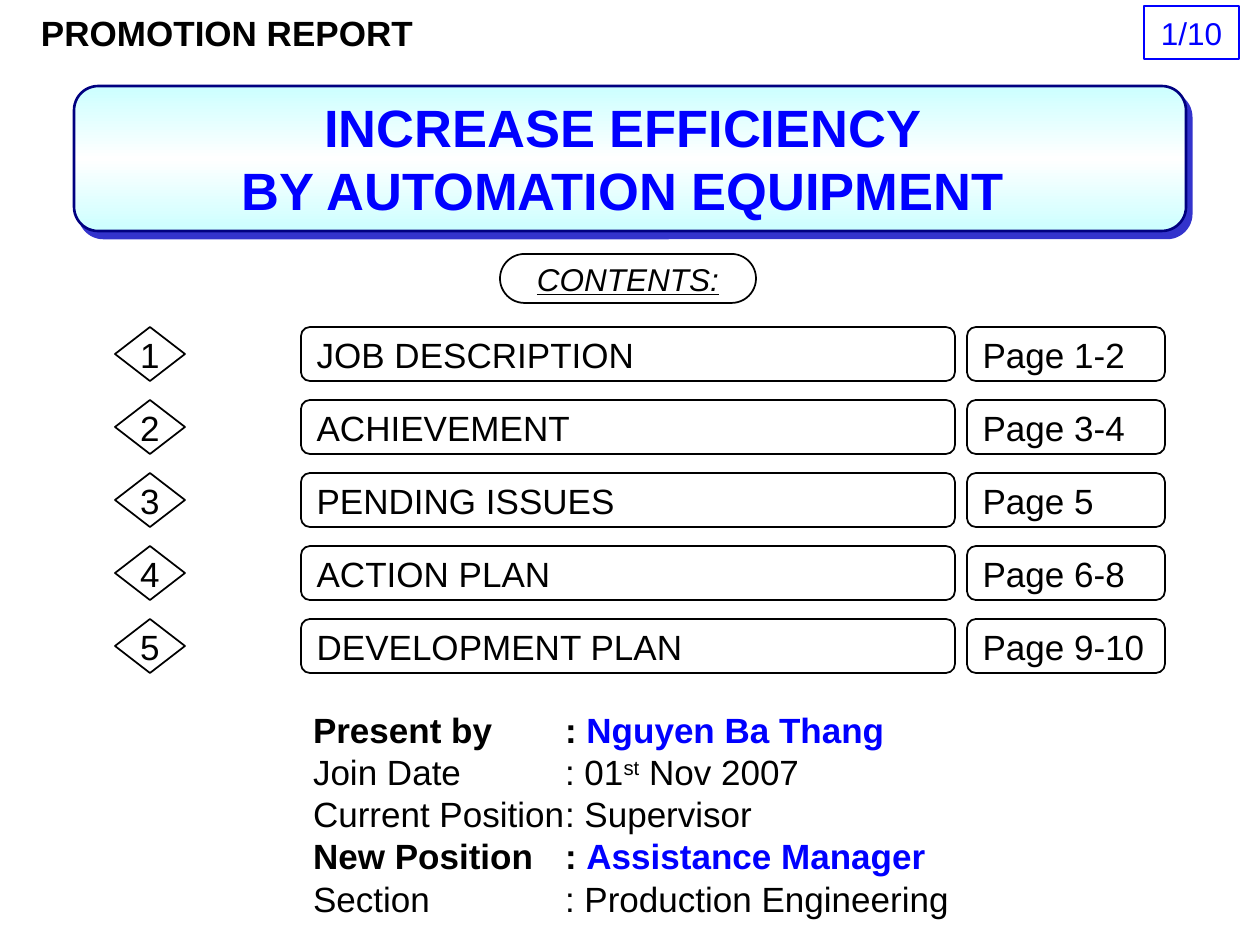
from copy import deepcopy
from lxml import etree
from pptx import Presentation
from pptx.dml.color import RGBColor
from pptx.enum import shapes, text
from pptx.oxml import ns
from pptx import util as u

PX = 914400 / 126
BLACK = RGBColor(0, 0, 0)
WHITE = RGBColor(255, 255, 255)
BLUE = RGBColor(0, 0, 255)
NAVY = RGBColor(0, 0, 128)
CYAN = RGBColor(204, 255, 255)
SHADOW = RGBColor(51, 51, 204)
KIND = shapes.MSO_SHAPE
LEFT, CENTER = text.PP_ALIGN.LEFT, text.PP_ALIGN.CENTER

TITLE = ["INCREASE EFFICIENCY", "BY AUTOMATION EQUIPMENT"]
CONTENTS = [
    ("JOB DESCRIPTION", "Page 1-2"),
    ("ACHIEVEMENT", "Page 3-4"),
    ("PENDING ISSUES", "Page 5"),
    ("ACTION PLAN", "Page 6-8"),
    ("DEVELOPMENT PLAN", "Page 9-10"),
]
PRESENTER = [
    [("Present by\t: ", {"bold": True}), ("Nguyen Ba Thang", {"bold": True, "color": BLUE})],
    [("Join Date\t: 01", {}), ("st", {"raised": True}), (" Nov 2007", {})],
    [("Current Position\t: Supervisor", {})],
    [("New Position\t: ", {"bold": True}), ("Assistance Manager", {"bold": True, "color": BLUE})],
    [("Section\t: Production Engineering", {})],
]
PRESENTER_TAB = 252
ROW_TOP, ROW_PITCH, ROW_HEIGHT = 327, 73, 54
COLUMNS = {"number": (115, 70), "topic": (301, 654), "pages": (967, 198)}


def px(length):
    return u.Emu(round(length * PX))


def add_box(page, kind, place, line=None, width=1, fill=None, corner=None):
    box = page.shapes.add_shape(kind, *map(px, place))
    box.shadow.inherit = False
    if corner is not None:
        box.adjustments[0] = corner
    if fill is None:
        box.fill.background()
    else:
        box.fill.solid()
        box.fill.fore_color.rgb = fill
    if line is None:
        box.line.fill.background()
    else:
        box.line.color.rgb = line
        box.line.width = u.Pt(width)
    return box


def add_span(para, words, size=20, color=BLACK, bold=False, italic=False,
             underline=False, raised=False):
    span = para.add_run()
    span.text = words
    font = span.font
    font.name, font.size, font.color.rgb = "Arial", u.Pt(size), color
    font.bold, font.italic, font.underline = bold, italic, underline
    if raised:
        font._element.set("baseline", "30000")


def add_tab_stop(para, position):
    stops = etree.SubElement(para._p.get_or_add_pPr(), ns.qn("a:tabLst"))
    etree.SubElement(stops, ns.qn("a:tab"), pos=str(px(position)), algn="l")


def write(box, lines, align=LEFT, wrap=False, margins=(13, 6, 13, 6), tab=None, **style):
    frame = box.text_frame
    frame.word_wrap = wrap
    frame.vertical_anchor = text.MSO_ANCHOR.MIDDLE
    (frame.margin_left, frame.margin_top,
     frame.margin_right, frame.margin_bottom) = map(px, margins)
    for index, line in enumerate(lines):
        para = frame.paragraphs[0] if index == 0 else frame.add_paragraph()
        para.alignment = align
        if tab is not None:
            add_tab_stop(para, tab)
        for words, extra in [(line, {})] if isinstance(line, str) else line:
            add_span(para, words, **{**style, **extra})


def add_banner_effects(banner):
    banner.fill.gradient()
    banner.fill.gradient_angle = 90
    stops = banner._element.spPr.find(".//" + ns.qn("a:gsLst"))
    stops.insert(1, deepcopy(stops[0]))
    for stop, color, position in zip(banner.fill.gradient_stops, (CYAN, WHITE, CYAN), (0, 0.5, 1)):
        stop.color.rgb = color
        stop.position = position
    effects = banner._element.spPr.find(ns.qn("a:effectLst"))
    shadow = etree.SubElement(effects, ns.qn("a:outerShdw"), blurRad="0",
                              dist=str(u.Pt(5)), dir=str(53 * 60000),
                              algn="ctr", rotWithShape="0")
    etree.SubElement(shadow, ns.qn("a:srgbClr"), val=str(SHADOW))


def main():
    deck = Presentation()
    deck.slide_width, deck.slide_height = u.Inches(10), u.Inches(7.5)
    page = deck.slides.add_slide(deck.slide_layouts[6])

    header = add_box(page, KIND.RECTANGLE, (0, 4, 1260, 56), fill=WHITE)
    write(header, ["PROMOTION REPORT"], wrap=True, margins=(41, 6, 13, 6), bold=True)
    badge = add_box(page, KIND.RECTANGLE, (1144, 6, 95, 53), line=BLUE, width=0.75)
    write(badge, ["1/10"], align=CENTER, size=18, color=BLUE)

    banner = add_box(page, KIND.ROUNDED_RECTANGLE, (74, 86, 1112, 145), line=NAVY, width=1.5)
    add_banner_effects(banner)
    write(banner, TITLE, align=CENTER, wrap=True, margins=(13, 6, 27, 6),
          size=30, color=BLUE, bold=True)
    heading = add_box(page, KIND.ROUNDED_RECTANGLE, (500, 254, 256, 49), line=BLACK, corner=0.5)
    write(heading, ["CONTENTS:"], align=CENTER, size=18, italic=True, underline=True)

    for index, (topic, pages) in enumerate(CONTENTS):
        top = ROW_TOP + index * ROW_PITCH
        cells = {"number": str(index + 1), "topic": topic, "pages": pages}
        for name, words in cells.items():
            left, width = COLUMNS[name]
            is_number = name == "number"
            kind = KIND.FLOWCHART_DECISION if is_number else KIND.ROUNDED_RECTANGLE
            cell = add_box(page, kind, (left, top, width, ROW_HEIGHT), line=BLACK)
            write(cell, [words], align=CENTER if is_number else LEFT)

    presenter = add_box(page, KIND.RECTANGLE, (300, 693, 866, 242), fill=WHITE)
    write(presenter, PRESENTER, margins=(13, 0, 13, 0), tab=PRESENTER_TAB)

    deck.save("out.pptx")


if __name__ == "__main__":
    main()
